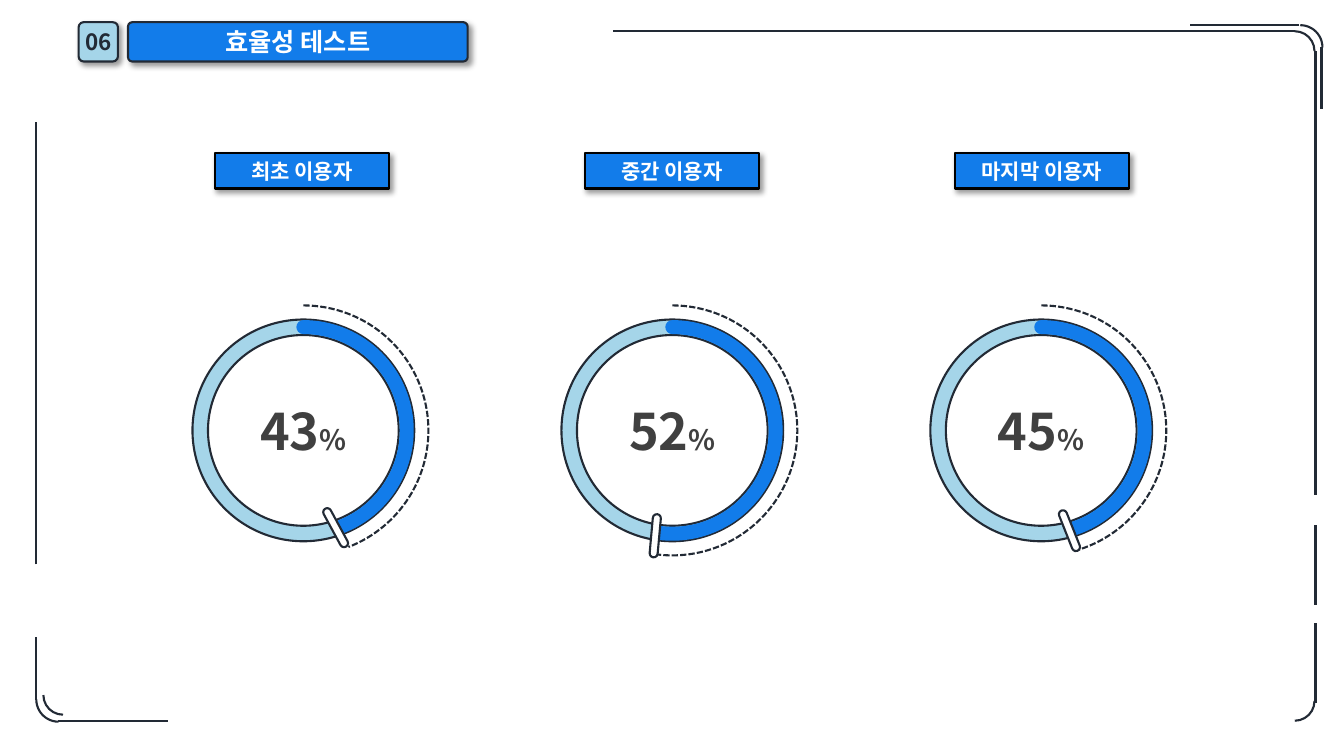
from lxml import etree
from pptx import Presentation
from pptx.dml.color import RGBColor
from pptx.enum.dml import MSO_LINE
from pptx.enum.shapes import MSO_CONNECTOR, MSO_SHAPE
from pptx.enum.text import MSO_ANCHOR, PP_ALIGN
from pptx.oxml.ns import qn
from pptx.util import Inches, Pt

ARC, DONUT = MSO_SHAPE.ARC, MSO_SHAPE.DONUT
RECT, ROUNDED = MSO_SHAPE.RECTANGLE, MSO_SHAPE.ROUNDED_RECTANGLE
STRAIGHT, DASHED = MSO_CONNECTOR.STRAIGHT, MSO_LINE.SQUARE_DOT
MIDDLE, CENTER = MSO_ANCHOR.MIDDLE, PP_ALIGN.CENTER

BLUE = RGBColor(0x12, 0x7C, 0xEA)
SKY = RGBColor(0xA5, 0xD5, 0xE9)
NAVY = RGBColor(0x22, 0x2A, 0x35)
GRAY = RGBColor(0x40, 0x40, 0x40)
WHITE = RGBColor(0xFF, 0xFF, 0xFF)
BLACK = RGBColor(0, 0, 0)
FONT = "Noto Sans CJK KR"

# Square grid: 160 columns by 90 rows
SLIDE_WIDTH, SLIDE_HEIGHT = Inches(13.333), Inches(7.5)
UNIT = SLIDE_HEIGHT / 90

# Frame lines: from column, row to column, row
FRAME_LINES = [
    (154.2, 3.72, 72.96, 3.72), (156.6, 58.92, 156.6, 6.12),
    (154.68, 3, 141.72, 3), (157.32, 12.96, 157.32, 5.64),
    (156.6, 72, 156.6, 62.52), (156.6, 83.64, 156.6, 74.16),
    (6.96, 85.8, 20.04, 85.8), (4.32, 75.84, 4.32, 83.28),
    (4.32, 67.2, 4.32, 14.52),
]
# Frame corners: column, row, size, rotation
FRAME_CORNERS = [
    (151.8, 3.72, 4.68, 0), (152.16, 3, 5.28, 0), (151.8, 81.12, 4.68, 90),
    (5.16, 80.4, 4.68, 180), (4.32, 80.64, 5.28, 180),
]
# Label, percent, end of dashed arc, end of value arc, knob offset, knob turn
USERS = [
    ("최초 이용자", "43", 68.87, 68.16, (3.84, 11.58), 331.5),
    ("중간 이용자", "52", 99.49, 97.78, (-2.04, 12.54), 185.2),
    ("마지막 이용자", "45", 75.81, 71.31, (3.36, 11.94), 338.3),
]
TAG_LEFT, TAG_STEP = 25.56, 44.04
RING_CENTER, RING_ROW, RING_STEP = 36.12, 51.24, 43.92


def grid(*values):
    return [round(value * UNIT) for value in values]


def around(column, row, width, height):
    return column - width / 2, row - height / 2, width, height


def add_box(page, kind, area, fill=None, line=NAVY, weight=1.5, adjust=(), turn=0):
    box = page.shapes.add_shape(kind, *grid(*area))
    box.shadow.inherit = False
    box.rotation = turn
    if fill is None:
        box.fill.background()
    else:
        box.fill.solid()
        box.fill.fore_color.rgb = fill
    box.line.color.rgb = line
    box.line.width = Pt(weight)
    for index, value in enumerate(adjust):
        box.adjustments[index] = value
    return box


def add_shadow(box):
    effects = box._element.spPr.find(qn("a:effectLst"))
    shadow = etree.SubElement(effects, qn("a:outerShdw"), blurRad=str(Pt(4)),
                              dist=str(Pt(3)), dir="2700000", algn="tl", rotWithShape="0")
    color = etree.SubElement(shadow, qn("a:srgbClr"), val=str(BLACK))
    etree.SubElement(color, qn("a:alpha"), val="40000")


def write(box, spans, color, wrap=True):
    frame = box.text_frame
    layout = {"word_wrap": wrap, "vertical_anchor": MIDDLE,
              "margin_top": 0, "margin_bottom": 0}
    for name, value in layout.items():
        setattr(frame, name, value)
    para = frame.paragraphs[0]
    para.alignment = CENTER
    for text, size in spans:
        span = para.add_run()
        span.text = text
        for name, value in {"name": FONT, "size": Pt(size), "bold": True}.items():
            setattr(span.font, name, value)
        span.font.color.rgb = color
        etree.SubElement(span.font._element, qn("a:ea"), typeface=FONT)


def add_arc(page, center, size, end, **style):
    # Clockwise from the top; one degree is 0.6 of an adjustment unit
    area = around(center, RING_ROW, size, size)
    return add_box(page, ARC, area, adjust=(162, end * 0.6), **style)


def add_frame(page):
    for ends in FRAME_LINES:
        line = page.shapes.add_connector(STRAIGHT, *grid(*ends))
        line.line.color.rgb = NAVY
        line.line.width = Pt(1.5)
        etree.SubElement(line._element.spPr, qn("a:effectLst"))
    for column, row, size, turn in FRAME_CORNERS:
        add_box(page, ARC, (column, row, size, size), turn=turn)


def add_header(page):
    title = add_box(page, ROUNDED, (15.24, 2.64, 40.44, 4.68), BLUE, adjust=(0.11,))
    write(title, [("효율성 테스트", 18)], WHITE)
    number = add_box(page, ROUNDED, (9.36, 2.64, 4.68, 4.68), SKY, adjust=(0.13,))
    write(number, [("06", 16)], NAVY, wrap=False)
    for box in (title, number):
        add_shadow(box)


def add_tag(page, left, label):
    tag = add_box(page, RECT, (left, 18.24, 20.76, 4.2), BLUE, BLACK)
    add_shadow(tag)
    write(tag, [(label, 15)], WHITE)


def add_ring(page, center, percent, dash_end, value_end, offset, turn):
    ring = add_box(page, DONUT, around(center, RING_ROW, 26.4, 26.4), SKY, adjust=(0.07,))
    write(ring, [(percent, 36), ("%", 20)], GRAY)
    add_arc(page, center, 29.76, dash_end).line.dash_style = DASHED
    value = add_arc(page, center, 24.6, value_end, line=BLUE, weight=10)
    value._element.spPr.find(qn("a:ln")).set("cap", "rnd")
    across, down = offset
    knob = around(center + across, RING_ROW + down, 0.96, 5.16)
    add_box(page, ROUNDED, knob, WHITE, adjust=(0.5,), turn=turn)


def main():
    deck = Presentation()
    deck.slide_width, deck.slide_height = SLIDE_WIDTH, SLIDE_HEIGHT
    page = deck.slides.add_slide(deck.slide_layouts[6])
    add_header(page)
    add_frame(page)
    # One tag and one ring per user group
    for index, (label, *ring) in enumerate(USERS):
        add_tag(page, TAG_LEFT + index * TAG_STEP, label)
        add_ring(page, RING_CENTER + index * RING_STEP, *ring)
    deck.save("out.pptx")


if __name__ == "__main__":
    main()
